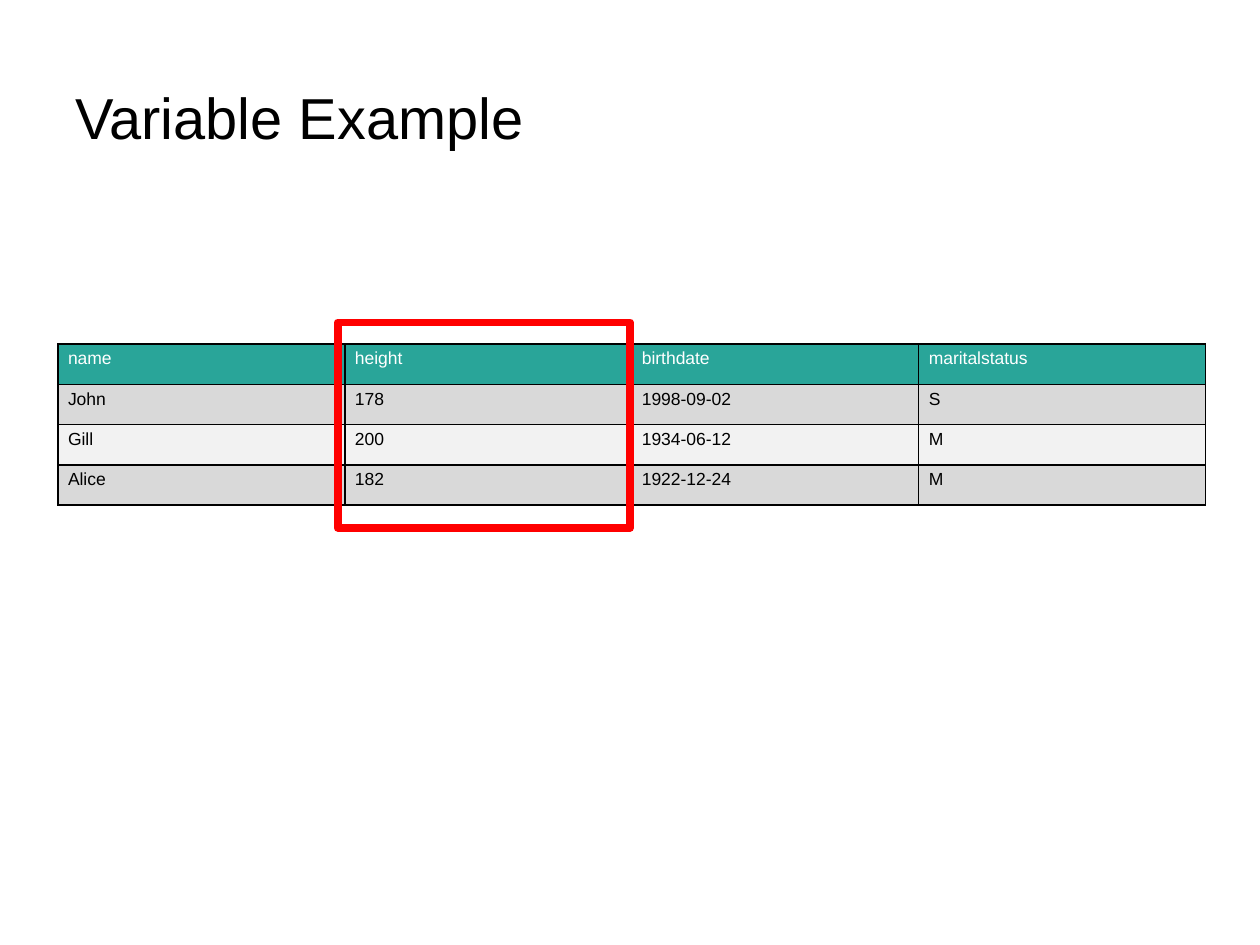
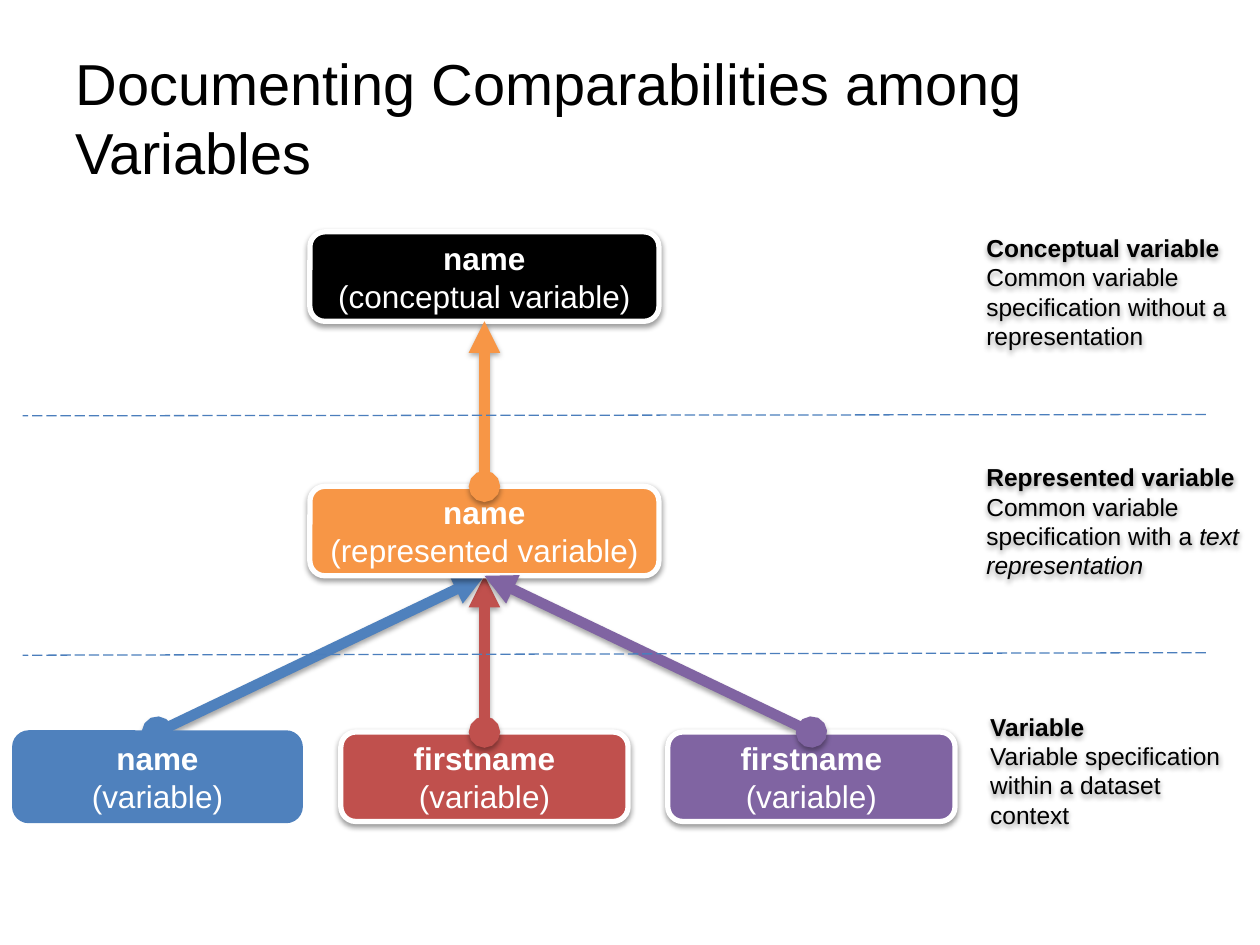
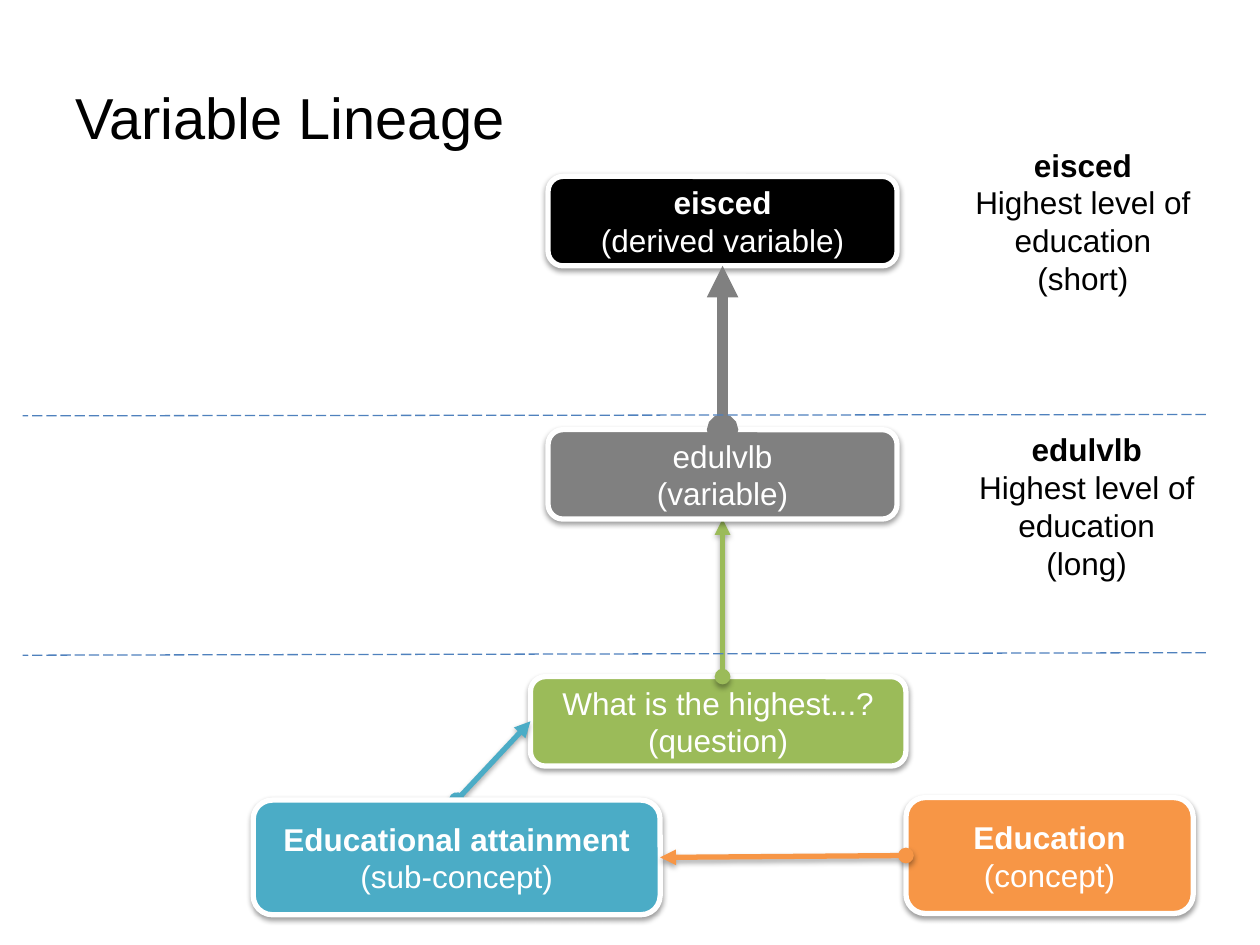
"""Build three slides on variables: an example table and two diagrams."""
from dataclasses import dataclass

from lxml.etree import SubElement
from pptx import Presentation
from pptx.dml.color import RGBColor
from pptx.enum.dml import MSO_LINE
from pptx.enum.shapes import MSO_CONNECTOR, MSO_SHAPE
from pptx.enum.text import MSO_ANCHOR, PP_ALIGN
from pptx.oxml.ns import qn
from pptx.util import Inches, Pt

MIDDLE, UPPER = MSO_ANCHOR.MIDDLE, MSO_ANCHOR.TOP
LEFT, CENTER = PP_ALIGN.LEFT, PP_ALIGN.CENTER
RECTANGLE, ROUNDED = MSO_SHAPE.RECTANGLE, MSO_SHAPE.ROUNDED_RECTANGLE
STRAIGHT, LONG_DASH = MSO_CONNECTOR.STRAIGHT, MSO_LINE.LONG_DASH
BLANK_LAYOUT = 6
COLUMNS, ROWS = 100, 75
UNIT = Inches(10) / COLUMNS  # one grid cell is square


@dataclass(frozen=True)
class Theme:
    """Colours, type sizes and line weights of the deck."""
    font: str = "Arial"
    title: int = 33
    body: int = 18
    note: int = 14
    cell: int = 10
    black: str = "000000"
    white: str = "FFFFFF"
    blue: str = "4F81BD"
    red: str = "C0504D"
    green: str = "9BBB59"
    purple: str = "8064A2"
    aqua: str = "4BACC6"
    orange: str = "F79646"
    gray: str = "808080"
    header: str = "29A599"
    bands: tuple = ("D9D9D9", "F2F2F2")
    marker: str = "FF0000"
    divider: str = "4B7EBC"
    thick: float = 6
    medium: float = 3
    thin: float = 0.75


THEME = Theme()


@dataclass(frozen=True)
class Box:
    """A rectangle in grid columns and rows."""
    left: float
    top: float
    width: float
    height: float

    def region(self, left, top, width, height):
        """Return a box offset from this box's corner."""
        return Box(self.left + left, self.top + top, width, height)

    def point(self, across, down):
        """Return the point at the given shares of width and height."""
        return self.left + across * self.width, self.top + down * self.height

    def lengths(self):
        """Return left, top, width and height as slide lengths."""
        return grid(self.left, self.top, self.width, self.height)


PAGE = Box(0, 0, COLUMNS, ROWS)
TOP, BOTTOM, LEFT_SIDE, RIGHT_SIDE = (0.5, 0), (0.5, 1), (0, 0.5), (1, 0.5)


def grid(*cells):
    """Turn grid cells into slide lengths."""
    return [round(cell * UNIT) for cell in cells]


def set_values(target, values):
    """Set every attribute named in values."""
    for name, value in values.items():
        setattr(target, name, value)


def write(frame, paragraphs, size, color, align=LEFT):
    """Write paragraphs of (text, format) spans; a None span breaks the line."""
    set_values(frame, {"word_wrap": True, "vertical_anchor": MIDDLE})
    for index, spans in enumerate(paragraphs):
        para = frame.add_paragraph() if index else frame.paragraphs[0]
        para.alignment = align
        for content in spans:
            if content is None:
                para.add_line_break()
                continue
            text, values = content
            span = para.add_run()
            span.text = text
            set_values(span.font, {"name": THEME.font, "size": Pt(size), **values})
            span.font.color.rgb = RGBColor.from_string(color)


def stroke(line, color, weight):
    """Give a line its colour and weight."""
    line.color.rgb = RGBColor.from_string(color)
    line.width = Pt(weight)


def drop_shadow(effects, opacity, distance):
    """Add a soft downward shadow to an effect list."""
    shadow = SubElement(effects, qn("a:outerShdw"), {
        "blurRad": "40000", "dist": str(distance), "dir": "5400000", "rotWithShape": "0"})
    color = SubElement(shadow, qn("a:srgbClr"), val=THEME.black)
    SubElement(color, qn("a:alpha"), val=str(opacity * 1000))


def add_text(page, box, paragraphs, size, align=LEFT, shadow=False):
    """Place a text box."""
    holder = page.shapes.add_textbox(*box.lengths())
    write(holder.text_frame, paragraphs, size, THEME.black, align)
    if shadow:
        drop_shadow(SubElement(holder.element.spPr, qn("a:effectLst")), 38, 20000)


def add_title(page, box, text):
    """Place the slide title in the upper band of the box."""
    add_text(page, box.region(5, 3, 90, 12.5), [[(text, {})]], THEME.title)


def add_note(page, box, lines, size, align=LEFT, shadow=False):
    """Place a bold heading over plain lines; each line is a list of spans."""
    heading, *rest = lines
    add_text(page, box, [[(heading, {"bold": True})], *rest], size, align, shadow)


def add_node(page, box, color, name, role, bold=True, raised=True):
    """Place a rounded node with a name over its role."""
    node = page.shapes.add_shape(ROUNDED, *box.lengths())
    node.shadow.inherit = False
    node.fill.solid()
    node.fill.fore_color.rgb = RGBColor.from_string(color)
    stroke(node.line, THEME.white if raised else color, 3 if raised else 2)
    if raised:
        drop_shadow(node.element.spPr.find(qn("a:effectLst")), 38, 20000)
    write(node.text_frame, [[(name, {"bold": bold}), None, (role, {"bold": False})]],
          THEME.body, THEME.white, CENTER)


def add_line(page, start, end, color, weight):
    """Draw a straight line; return it with its empty effect list."""
    line = page.shapes.add_connector(STRAIGHT, *grid(*start, *end))
    stroke(line.line, color, weight)
    return line, SubElement(line.element.spPr, qn("a:effectLst"))


def add_arrow(page, start, end, color, weight=THEME.thick, raised=True):
    """Draw an arrow with a round tail and a triangular tip."""
    arrow, effects = add_line(page, start, end, color, weight)
    outline = arrow.element.spPr.find(qn("a:ln"))
    for tag, kind in (("a:headEnd", "oval"), ("a:tailEnd", "triangle")):
        SubElement(outline, qn(tag), type=kind)
    if raised:
        drop_shadow(effects, 35, 23000)


def add_dividers(page, box, color):
    """Draw the two dashed lines that separate the three levels."""
    for right_end, left_end in ((32.9, 33), (51.8, 52)):
        line, _ = add_line(page, (box.left + 95.7, box.top + right_end),
                           (box.left + 1.8, box.top + left_end), color, THEME.thin)
        line.line.dash_style = LONG_DASH


def add_cell_borders(cell):
    """Rule all four sides of a table cell."""
    properties = cell._tc.get_or_add_tcPr()
    for side in ("a:lnL", "a:lnR", "a:lnT", "a:lnB"):
        border = SubElement(properties, qn(side), w=str(Pt(1)))
        fill = SubElement(border, qn("a:solidFill"))
        SubElement(fill, qn("a:srgbClr"), val=THEME.black)


def add_records(page, box, records):
    """Fill the box with an even table: header row, then banded rows."""
    table = page.shapes.add_table(len(records), len(records[0]), *box.lengths()).table
    margins = {"margin_left": Inches(0.08), "margin_right": Inches(0.08),
               "margin_top": Inches(0.04), "margin_bottom": Inches(0.04)}
    for row, record in enumerate(records):
        fill = THEME.bands[(row - 1) % 2] if row else THEME.header
        for column, text in enumerate(record):
            cell = table.cell(row, column)
            add_cell_borders(cell)
            cell.fill.solid()
            cell.fill.fore_color.rgb = RGBColor.from_string(fill)
            write(cell.text_frame, [[(text, {"bold": False})]], THEME.cell,
                  THEME.black if row else THEME.white)
            set_values(cell, {**margins, "vertical_anchor": UPPER})


def build_example(page, box):
    """Place the record table and mark its height column."""
    add_title(page, box, "Variable Example")
    add_records(page, box.region(4.6, 27.3, 91.1, 12.8), (
        ("name", "height", "birthdate", "maritalstatus"),
        ("John", "178", "1998-09-02", "S"),
        ("Gill", "200", "1934-06-12", "M"),
        ("Alice", "182", "1922-12-24", "M")))
    frame = page.shapes.add_shape(RECTANGLE, *box.region(26.8, 25.6, 23.2, 16.3).lengths())
    frame.shadow.inherit = False
    frame.fill.background()
    stroke(frame.line, THEME.marker, 4.5)


def build_comparison(page, box):
    """Place three variables under their represented and conceptual ones."""
    add_title(page, box, "Documenting Comparabilities among Variables")
    concept, represented = (box.region(24.6, top, 27.7, 7.1) for top in (18.4, 38.6))
    name, first, second = (box.region(1.1 + 25.95 * step, 58.1, 22.8, 7.1) for step in range(3))
    target = represented.point(*BOTTOM)

    add_node(page, concept, THEME.black, "name", "(conceptual variable)")
    add_node(page, first, THEME.red, "firstname", "(variable)")
    add_arrow(page, first.point(*TOP), target, THEME.red)
    add_arrow(page, name.point(*TOP), target, THEME.blue)
    add_node(page, represented, THEME.orange, "name", "(represented variable)")
    add_node(page, name, THEME.blue, "name", "(variable)", raised=False)
    add_arrow(page, represented.point(*TOP), concept.point(*BOTTOM), THEME.orange)
    add_node(page, second, THEME.purple, "firstname", "(variable)")
    add_arrow(page, second.point(*TOP), target, THEME.purple)
    add_dividers(page, box, THEME.divider)

    plain, slanted = {"bold": False}, {"italic": True}
    notes = (
        ((77.3, 17.1, 22.7), "Conceptual variable",
         [("Common variable specification without a representation", plain)]),
        ((77.3, 35.3, 22.2), "Represented variable",
         [("Common variable specification with a ", plain), ("text representation", slanted)]),
        ((77.6, 55.1, 21.9), "Variable",
         [("Variable specification within a dataset context", plain)]))
    for place, heading, spans in notes:
        add_note(page, box.region(*place, 12.1), [heading, spans], THEME.note, shadow=True)


def build_lineage(page, box):
    """Place the chain from concept to derived variable."""
    add_title(page, box, "Variable Lineage")
    derived, variable = (box.region(43.5, top, 27.7, 7.1) for top in (14, 34.1))
    question = box.region(42.1, 53.7, 29.8, 7.1)
    attainment = box.region(20.1, 63.5, 32.3, 9.1)
    education = box.region(71.9, 63.3, 22.8, 9.2)
    stem = variable.point(*TOP)[0]

    add_node(page, derived, THEME.black, "eisced", "(derived variable)")
    add_node(page, question, THEME.green, "What is the highest...?", "(question)", bold=False)
    add_arrow(page, (stem, question.top), variable.point(*BOTTOM), THEME.green, THEME.medium)
    add_arrow(page, attainment.point(*TOP), question.point(*LEFT_SIDE), THEME.aqua, THEME.medium)
    add_node(page, variable, THEME.gray, "edulvlb", "(variable)", bold=False)
    add_node(page, attainment, THEME.aqua, "Educational attainment", "(sub-concept)")
    add_arrow(page, variable.point(*TOP), derived.point(*BOTTOM), THEME.gray, raised=False)
    add_node(page, education, THEME.orange, "Education", "(concept)")
    add_arrow(page, education.point(*LEFT_SIDE), attainment.point(*RIGHT_SIDE),
              THEME.orange, THEME.medium)
    add_dividers(page, box, THEME.blue)

    for left, top, heading, form in ((72.9, 34.1, "edulvlb", "(long)"),
                                     (72.6, 11.5, "eisced", "(short)")):
        lines = [heading, [("Highest level of education", {})], [(form, {})]]
        add_note(page, box.region(left, top, 26.7, 12.1), lines, THEME.body, CENTER)


def main():
    """Build and save the deck."""
    deck = Presentation()
    deck.slide_width, deck.slide_height = grid(COLUMNS, ROWS)
    for build in (build_example, build_comparison, build_lineage):
        build(deck.slides.add_slide(deck.slide_layouts[BLANK_LAYOUT]), PAGE)
    deck.save("out.pptx")


main()
